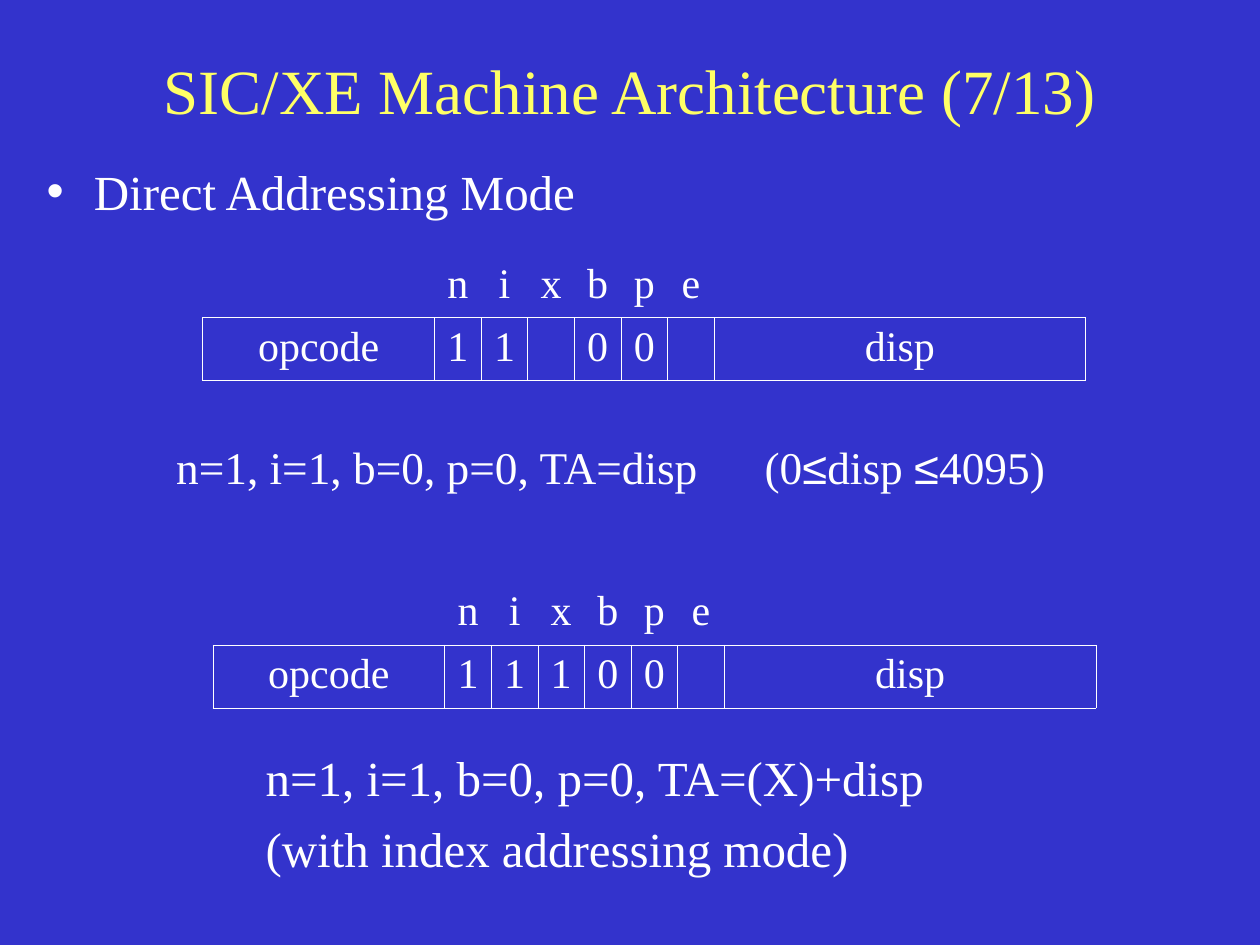
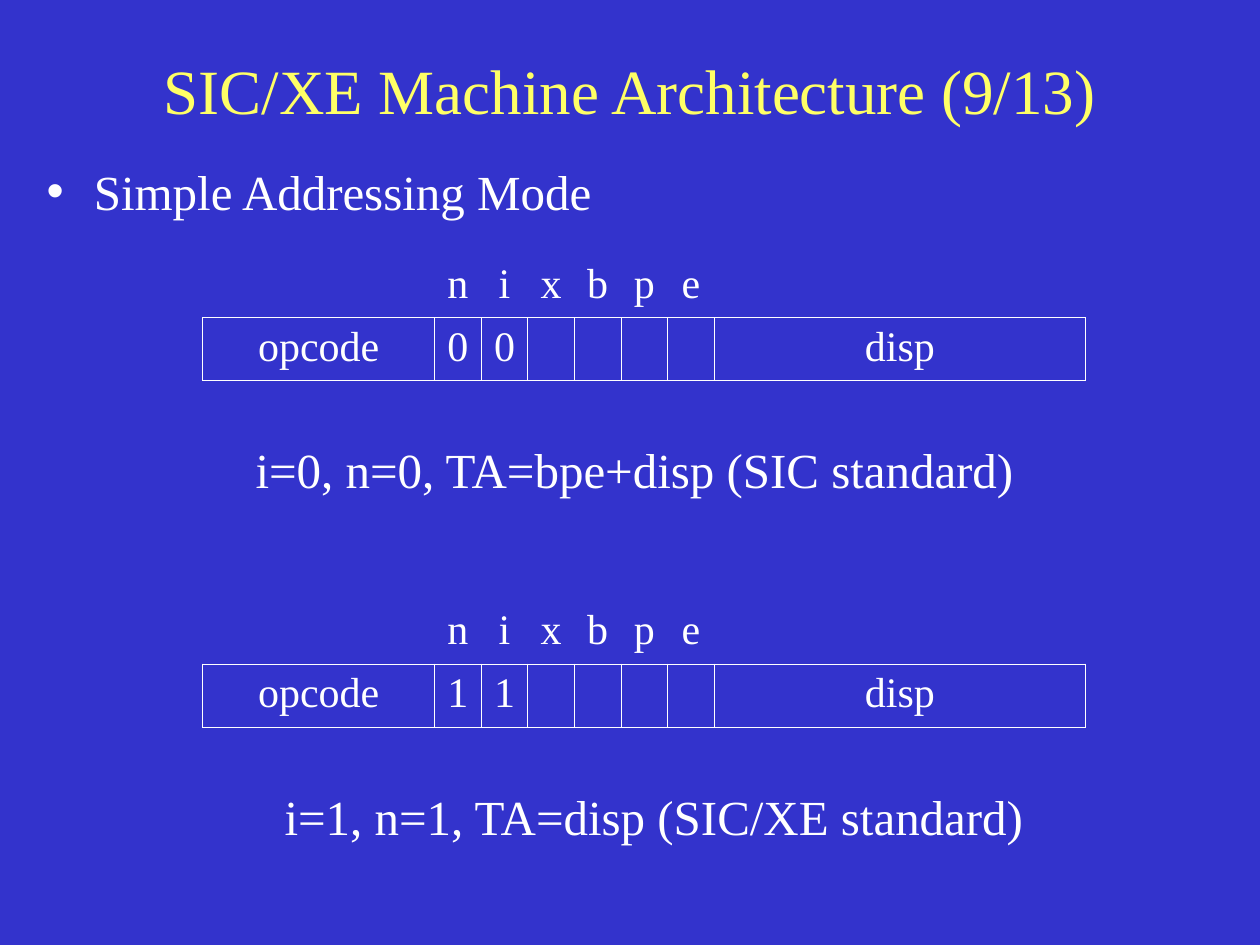
from dataclasses import dataclass

from lxml import etree
from pptx import Presentation
from pptx import util as u
from pptx.dml.color import RGBColor
from pptx.enum import text
from pptx.oxml import ns

COLORS = {"background": "3333CC", "title": "FFFF66", "text": "FFFFFF"}
SERIF, SANS = "Times New Roman", "Arial"
FLAGS = "nixbpe"
COLUMNS = [1.84] + [0.37] * len(FLAGS) + [2.95]
ROW_HEIGHT = 0.5
NO_STYLE = "{2D5ABB26-0587-4C30-8999-92F81FD0307C}"
TITLE_BOX = (0.75, 0.25, 8.5, 0.92)
TOPIC_BOX = (0.27, 1.23, 8.5, 0.63)
FRAME = {
    "word_wrap": True,
    "auto_size": text.MSO_AUTO_SIZE.NONE,
    "margin_left": u.Inches(0.1),
    "margin_right": u.Inches(0.1),
    "margin_top": u.Inches(0.05),
    "margin_bottom": u.Inches(0.05),
}


@dataclass
class Instruction:
    left: float
    top: float
    flags: str


@dataclass
class Formula:
    box: tuple[float, float, float, float]
    lines: list[str]
    size: float = 28
    tab: float | None = None


@dataclass
class ModeSlide:
    title: str
    topic: str
    instructions: list[Instruction]
    formulas: list[Formula]


MODES = [
    ModeSlide(
        "SIC/XE Machine Architecture (7/13)",
        "Direct Addressing Mode",
        [Instruction(1.61, 2.02, "11 00 "), Instruction(1.69, 4.62, "11100 ")],
        [
            Formula((1.3, 3.44, 7.8, 0.63),
                    ["n=1, i=1, b=0, p=0, TA=disp\t(0≤disp ≤4095)"], 25.9, 4.67),
            Formula((2.01, 5.88, 5.83, 1.42),
                    ["n=1, i=1, b=0, p=0, TA=(X)+disp", "(with index addressing mode)"]),
        ],
    ),
    ModeSlide(
        "SIC/XE Machine Architecture (9/13)",
        "Simple Addressing Mode",
        [Instruction(1.61, 2.02, "00    "), Instruction(1.61, 4.77, "11    ")],
        [
            Formula((1.93, 3.44, 6.46, 0.63), ["i=0, n=0, TA=bpe+disp (SIC standard)"]),
            Formula((2.16, 6.19, 6.38, 0.63), ["i=1, n=1, TA=disp (SIC/XE standard)"]),
        ],
    ),
]


def set_all(obj, values: dict) -> None:
    for name, value in values.items():
        setattr(obj, name, value)


def write(p, line: str, size: float, color: str = "text", **layout) -> None:
    set_all(p, {"space_before": u.Pt(0), **layout})
    for i, part in enumerate(line.replace("≤", "|≤|").split("|")):
        r = p.add_run()
        r.text = part
        set_all(r.font, {"name": SANS if i % 2 else SERIF, "size": u.Pt(size)})
        r.font.color.rgb = RGBColor.from_string(COLORS[color])


def fill_placeholder(sp, box: tuple, line: str, size: float, color: str, **layout) -> None:
    set_all(sp, dict(zip(("left", "top", "width", "height"), map(u.Inches, box))))
    set_all(sp.text_frame, FRAME)
    write(sp.text_frame.paragraphs[0], line, size, color, **layout)


def add_formula(s, formula: Formula) -> None:
    tf = s.shapes.add_textbox(*map(u.Inches, formula.box)).text_frame
    set_all(tf, FRAME)
    for i, line in enumerate(formula.lines):
        p = tf.add_paragraph() if i else tf.paragraphs[0]
        if formula.tab:
            tabs = etree.SubElement(p._p.get_or_add_pPr(), ns.qn("a:tabLst"))
            etree.SubElement(tabs, ns.qn("a:tab"), pos=str(u.Inches(formula.tab)), algn="l")
        write(p, line, formula.size, space_before=u.Pt(7 if i else 0))


def add_borders(cell, sides: str) -> None:
    tcPr = cell._tc.get_or_add_tcPr()
    for i, side in enumerate(sides):
        ln = etree.Element(ns.qn(f"a:ln{side}"), w=str(u.Pt(0.45)))
        fill = etree.SubElement(ln, ns.qn("a:solidFill"))
        etree.SubElement(fill, ns.qn("a:srgbClr"), val=COLORS["text"])
        tcPr.insert(i, ln)


def add_instruction(s, item: Instruction) -> None:
    rows = [["", *FLAGS, ""], ["opcode", *item.flags, "disp"]]
    frame = s.shapes.add_table(
        len(rows), len(COLUMNS), u.Inches(item.left), u.Inches(item.top),
        u.Inches(sum(COLUMNS)), u.Inches(ROW_HEIGHT * len(rows)))
    table = frame.table
    set_all(table, {"first_row": False, "horz_banding": False})
    table._tbl.tblPr.find(ns.qn("a:tableStyleId")).text = NO_STYLE
    for column, width in zip(table.columns, COLUMNS):
        column.width = u.Inches(width)
    for i, values in enumerate(rows):
        table.rows[i].height = u.Inches(ROW_HEIGHT)
        for j, value in enumerate(values):
            cell = table.cell(i, j)
            cell.fill.background()
            add_borders(cell, "LRTB" if i else "B")
            if value.strip():
                write(cell.text_frame.paragraphs[0], value, 24,
                      alignment=text.PP_ALIGN.CENTER)


def add_mode_slide(prs, mode: ModeSlide) -> None:
    s = prs.slides.add_slide(prs.slide_layouts[1])
    title, topic = s.placeholders
    fill_placeholder(title, TITLE_BOX, mode.title, 36, "title",
                     alignment=text.PP_ALIGN.CENTER)
    fill_placeholder(topic, TOPIC_BOX, mode.topic, 28, "text")
    for item in mode.instructions:
        add_instruction(s, item)
    for formula in mode.formulas:
        add_formula(s, formula)


def main() -> None:
    prs = Presentation()
    set_all(prs, {"slide_width": u.Inches(10), "slide_height": u.Inches(7.5)})
    fill = prs.slide_master.background.fill
    fill.solid()
    fill.fore_color.rgb = RGBColor.from_string(COLORS["background"])
    for mode in MODES:
        add_mode_slide(prs, mode)
    prs.save("out.pptx")


if __name__ == "__main__":
    main()
